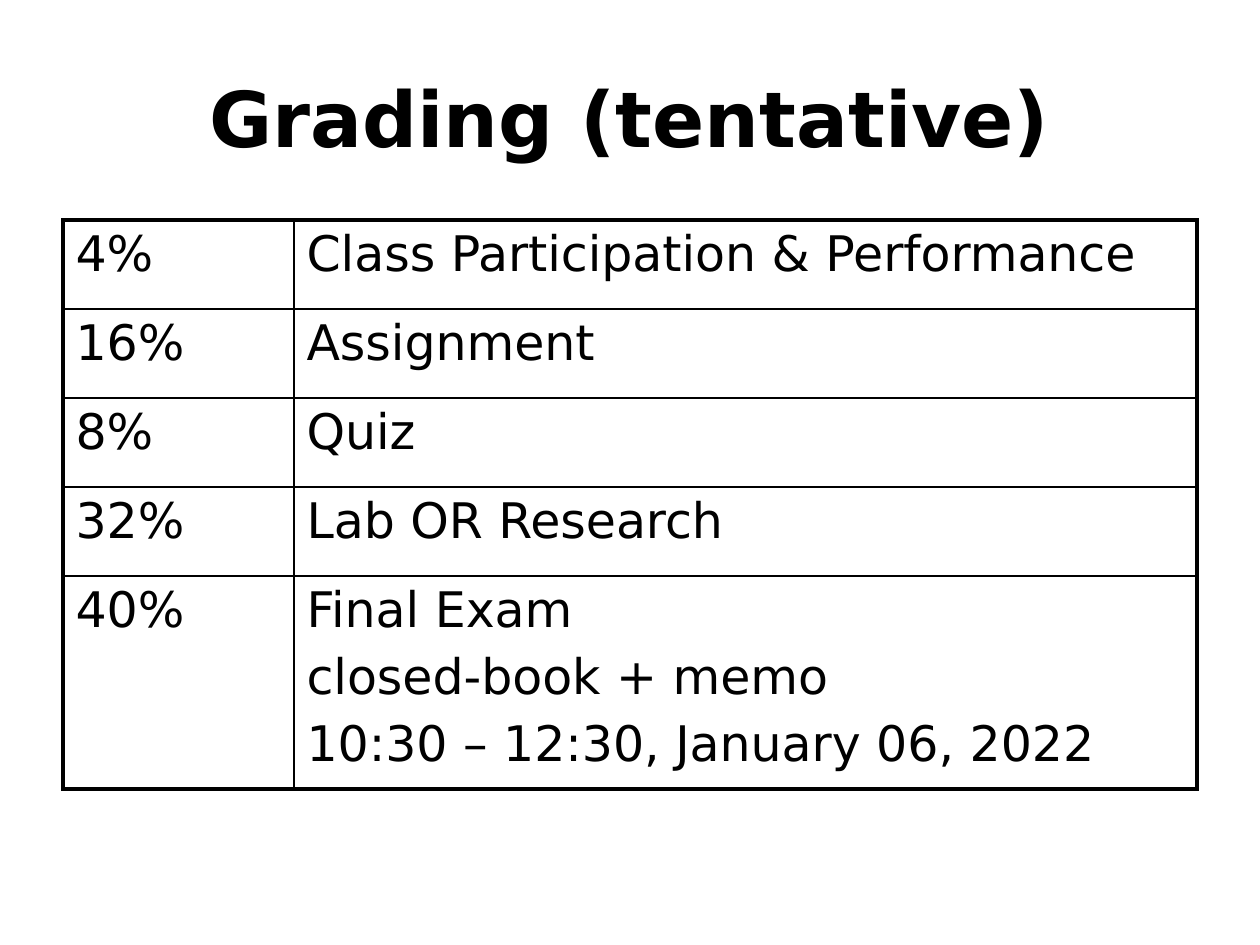
from lxml.etree import SubElement
from pptx import Presentation
from pptx.dml.color import RGBColor
from pptx.enum.text import MSO_VERTICAL_ANCHOR as Anchor, PP_PARAGRAPH_ALIGNMENT as Align
from pptx.oxml.ns import qn
from pptx.util import Emu, Pt

PX_PER_INCH = 126
BLACK = "000000"
THIN, THICK = 1, 2.25
TITLE_FONT = {"name": "DejaVu Sans", "size": Pt(44), "bold": True}
CELL_FONT = {"name": "DejaVu Sans", "size": Pt(28), "bold": False}
COLUMN_WIDTHS = [231, 903]
ROW_HEIGHTS = [89, 89, 89, 89, 213]
GRADES = [
    ("4%", ["Class Participation & Performance"]),
    ("16%", ["Assignment"]),
    ("8%", ["Quiz"]),
    ("32%", ["Lab OR Research"]),
    ("40%", ["Final Exam", "closed-book + memo", "10:30 – 12:30, January 06, 2022"]),
]


def px(length):
    """Turn whole pixels into EMU."""
    return Emu(round(length * 914400 / PX_PER_INCH))


def colour(value):
    """Turn a hex string into a colour."""
    return RGBColor.from_string(value)


def write(frame, lines, font, align=Align.LEFT):
    """Write one paragraph per line with the given font values."""
    frame.word_wrap = True
    for index, line in enumerate(lines):
        para = frame.add_paragraph() if index else frame.paragraphs[0]
        para.alignment = align
        if index:
            para.space_before = Pt(5.6)
        span = para.add_run()
        span.text = line
        for name, value in font.items():
            setattr(span.font, name, value)
        span.font.color.rgb = colour(BLACK)


def add_title(page, text):
    """Add the centred slide title."""
    box = page.shapes.add_textbox(px(63), px(38), px(1134), px(157))
    box.text_frame.vertical_anchor = Anchor.MIDDLE
    write(box.text_frame, [text], TITLE_FONT, Align.CENTER)


def set_borders(cell, widths):
    """Draw the cell borders from a dict of side and width in points."""
    properties = cell._tc.get_or_add_tcPr()
    for side, width in widths.items():
        line = SubElement(properties, qn(f"a:ln{side}"), w=str(Pt(width)))
        fill = SubElement(line, qn("a:solidFill"))
        SubElement(fill, qn("a:srgbClr"), val=BLACK)


def add_grades(page, grades):
    """Add the grading table with a thick frame and thin inner lines."""
    rows, columns = len(ROW_HEIGHTS), len(COLUMN_WIDTHS)
    table = page.shapes.add_table(
        rows, columns, px(63), px(220), px(sum(COLUMN_WIDTHS)), px(sum(ROW_HEIGHTS))
    ).table
    table.first_row = table.horz_banding = False
    for column, width in zip(table.columns, COLUMN_WIDTHS):
        column.width = px(width)
    for r, (share, lines) in enumerate(grades):
        table.rows[r].height = px(ROW_HEIGHTS[r])
        for c, content in enumerate([[share], lines]):
            cell = table.cell(r, c)
            write(cell.text_frame, content, CELL_FONT)
            outer = {"L": c == 0, "R": c == columns - 1, "T": r == 0, "B": r == rows - 1}
            set_borders(cell, {side: THICK if edge else THIN for side, edge in outer.items()})
            cell.fill.background()


def main():
    """Build the slide and save it."""
    deck = Presentation()
    deck.slide_width, deck.slide_height = px(1260), px(945)
    page = deck.slides.add_slide(deck.slide_layouts[6])
    add_title(page, "Grading (tentative)")
    add_grades(page, GRADES)
    deck.save("out.pptx")


if __name__ == "__main__":
    main()
